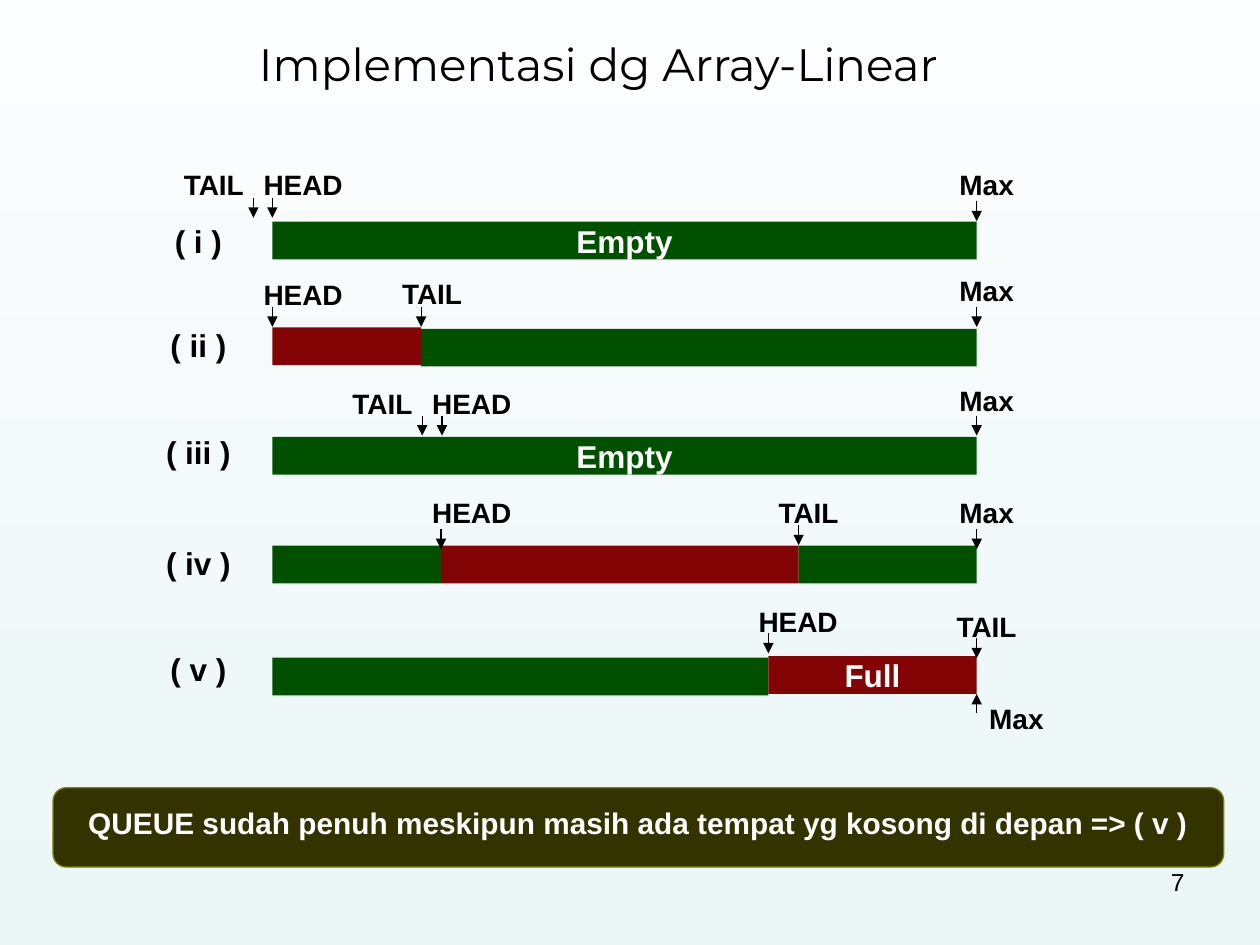
from collections import namedtuple

from lxml import etree
from pptx import Presentation
from pptx import util as u
from pptx.dml import color
from pptx.enum import shapes, text
from pptx.oxml import ns

COLORS = {
    "top": "FCFDFE", "bottom": "EBF6F7", "black": "000000", "white": "FFFFFF",
    "free": "005000", "used": "800000", "banner": "333300", "border": "808000",
}
BAR_LEFT, BAR_WIDTH, BAR_HEIGHT = 5.49, 14.2, 0.76
LABEL_HEIGHT, ARROW_LENGTH = 0.69, 0.4

Segment = namedtuple("Segment", "start end color text dy", defaults=("", 0))
Pointer = namedtuple("Pointer", "text x label_dx label_dy arrow_dy width rise",
                     defaults=(1.6, ARROW_LENGTH))
Row = namedtuple("Row", "top numeral numeral_dy segments pointers")

ROWS = [
    Row(4.47, "( i )", 0, [Segment(0, BAR_WIDTH, "free", "Empty")], [
        Pointer("TAIL", -0.38, -1.6, -1.09, -0.48),
        Pointer("HEAD", 0, -0.18, -1.09, -0.48),
        Pointer("Max", BAR_WIDTH, -0.6, -1.09, -0.41)]),
    Row(6.6, "( ii )", -0.03, [
        Segment(3, BAR_WIDTH, "free", dy=0.03), Segment(0, 3, "used")], [
        Pointer("HEAD", 0, -0.18, -1.02, -0.41),
        Pointer("TAIL", 3, -0.58, -1.04, -0.41),
        Pointer("Max", BAR_WIDTH, -0.6, -1.09, -0.41)]),
    Row(8.81, "( iii )", -0.08, [Segment(0, BAR_WIDTH, "free", "Empty")], [
        Pointer("TAIL", 3.02, -1.6, -1.02, -0.43),
        Pointer("HEAD", 3.42, -0.2, -1.02, -0.43),
        Pointer("Max", BAR_WIDTH, -0.6, -1.09, -0.43)]),
    Row(11, "( iv )", -0.03, [
        Segment(0, 3.4, "free"), Segment(3.4, 10.61, "used"),
        Segment(10.61, BAR_WIDTH, "free")], [
        Pointer("HEAD", 3.4, -0.18, -1.02, -0.33),
        Pointer("TAIL", 10.61, -0.6, -1.02, -0.41),
        Pointer("Max", BAR_WIDTH, -0.6, -1.02, -0.33)]),
    Row(13.23, "( v )", -0.13, [
        Segment(0, 10, "free", dy=0.03), Segment(10, BAR_WIDTH, "used", "Full")], [
        Pointer("HEAD", 10, -0.2, -1.04, -0.46),
        Pointer("TAIL", BAR_WIDTH, -0.6, -0.94, -0.36),
        Pointer("Max", BAR_WIDTH, 0.2, 0.91, 1.14, 1.2, -0.38)]),
]


def rgb(name):
    """Return the named palette colour."""
    return color.RGBColor.from_string(COLORS[name])


def lengths(*values):
    """Convert centimetre values to slide units."""
    return [u.Cm(value) for value in values]


def write(shape, content, size, font_color="black", bold=True, wrap=False,
          align=text.PP_ALIGN.CENTER, margins=(0, 0, 0, 0),
          anchor=text.MSO_ANCHOR.MIDDLE, font="Arial"):
    """Put one formatted paragraph into a shape."""
    frame = shape.text_frame
    frame.auto_size = text.MSO_AUTO_SIZE.NONE
    frame.word_wrap = wrap
    frame.vertical_anchor = anchor
    (frame.margin_left, frame.margin_top,
     frame.margin_right, frame.margin_bottom) = lengths(*margins)
    paragraph = frame.paragraphs[0]
    paragraph.text = content
    paragraph.alignment = align
    paragraph.font.name = font
    paragraph.font.size = u.Pt(size)
    paragraph.font.bold = bold
    paragraph.font.color.rgb = rgb(font_color)
    return paragraph


def add_label(slide, box, content, size, **options):
    """Add a text box with one line of text."""
    write(slide.shapes.add_textbox(*lengths(*box)), content, size, **options)


def add_block(slide, kind, box, fill):
    """Add a flat filled shape without outline."""
    shape = slide.shapes.add_shape(kind, *lengths(*box))
    shape.shadow.inherit = False
    shape.fill.solid()
    shape.fill.fore_color.rgb = rgb(fill)
    shape.line.fill.background()
    return shape


def add_arrow(slide, x, start, end):
    """Add a vertical arrow pointing at the end height."""
    arrow = slide.shapes.add_connector(
        shapes.MSO_CONNECTOR.STRAIGHT, *lengths(x, start, x, end))
    arrow.line.color.rgb = rgb("black")
    arrow.line.width = u.Pt(0.75)
    etree.SubElement(arrow.line._get_or_add_ln(), ns.qn("a:tailEnd"), type="triangle")
    etree.SubElement(arrow._element.spPr, ns.qn("a:effectLst"))


def add_segment(slide, left, top, segment):
    """Draw one part of the array bar."""
    box = (left + segment.start, top + segment.dy,
           segment.end - segment.start, BAR_HEIGHT)
    bar = add_block(slide, shapes.MSO_SHAPE.RECTANGLE, box, segment.color)
    if segment.color == "used":
        fill = bar._element.spPr.find(ns.qn("a:solidFill"))
        etree.SubElement(fill[0], ns.qn("a:alpha"), val="98000")
    if segment.text:
        write(bar, segment.text, 18, font_color="white")


def add_row(slide, left, row):
    """Draw one queue state: numeral, bar segments and pointers."""
    add_label(slide, (left - 2.19, row.top + row.numeral_dy, 1.4, BAR_HEIGHT),
              row.numeral, 18)
    for segment in row.segments:
        add_segment(slide, left, row.top, segment)
    for pointer in row.pointers:
        x = left + pointer.x
        start = row.top + pointer.arrow_dy
        add_label(slide, (x + pointer.label_dx, row.top + pointer.label_dy,
                          pointer.width, LABEL_HEIGHT), pointer.text, 16)
        add_arrow(slide, x, start, start + pointer.rise)


def add_title(slide, box):
    """Move and format the title placeholder."""
    title = slide.shapes.title
    title.left, title.top, title.width, title.height = lengths(*box)
    paragraph = write(title, "Implementasi dg Array-Linear", 25.9, bold=False,
                      wrap=True, margins=(0.25, 0.13, 0.25, 0.13),
                      font="Montserrat")
    paragraph.line_spacing = 0.9


def add_banner(slide, box):
    """Draw the rounded conclusion banner."""
    banner = add_block(slide, shapes.MSO_SHAPE.ROUNDED_RECTANGLE, box, "banner")
    banner.line.color.rgb = rgb("border")
    banner.line.width = u.Pt(0.75)
    write(banner, "QUEUE sudah penuh meskipun masih ada tempat yg kosong di depan => ( v )",
          17, font_color="white", margins=(0, 0, 0, 0.18))


def set_background(slide):
    """Fill the background with a vertical gradient."""
    fill = slide.background.fill
    fill.gradient()
    fill.gradient_angle = 270
    for stop, name in zip(fill.gradient_stops, ("top", "bottom")):
        stop.color.rgb = rgb(name)


def main():
    """Build and save the slide."""
    presentation = Presentation()
    presentation.slide_width, presentation.slide_height = lengths(25.4, 19.05)
    slide = presentation.slides.add_slide(presentation.slide_layouts[5])
    set_background(slide)
    add_title(slide, (1.27, 0.64, 21.59, 1.4))
    for row in ROWS:
        add_row(slide, BAR_LEFT, row)
    add_banner(slide, (1.07, 15.88, 23.6, 1.6))
    add_label(slide, (18.21, 17.35, 5.92, 1.32), "7", 14, bold=False, wrap=True,
              align=text.PP_ALIGN.RIGHT, margins=(0.25, 0.13, 0.25, 0.13),
              anchor=text.MSO_ANCHOR.TOP)
    presentation.save("out.pptx")


if __name__ == "__main__":
    main()
